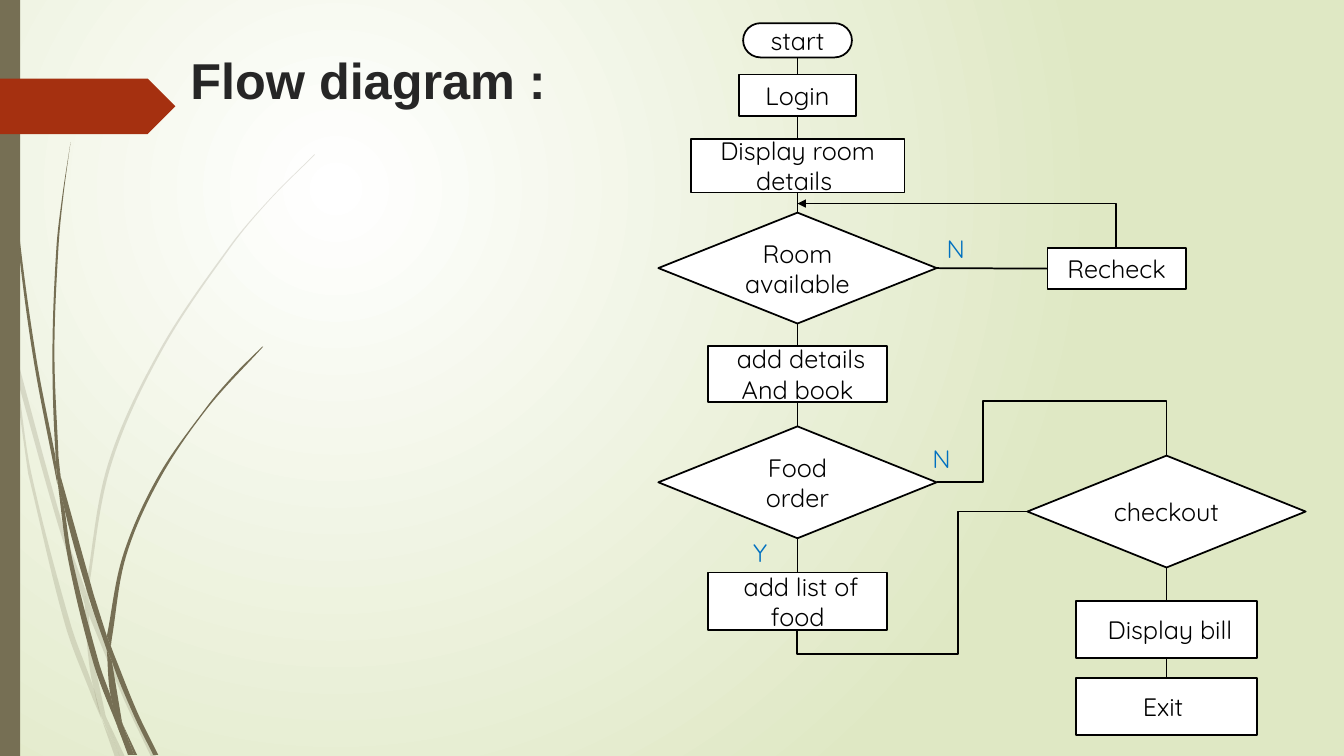
"""Builds a hotel booking flow diagram slide."""
from dataclasses import dataclass
from math import hypot
from typing import Optional

from lxml.etree import SubElement
from pptx import Presentation
from pptx.dml.color import RGBColor
from pptx.enum.shapes import MSO_CONNECTOR, MSO_SHAPE
from pptx.enum.text import MSO_ANCHOR, PP_ALIGN
from pptx.oxml.ns import qn
from pptx.util import Inches, Pt

COLORS = {"ink": "000000", "white": "FFFFFF", "edge": "DFE8C4", "stem": "766F54",
          "ribbon": "A53010", "title": "262626", "branch": "0070C0"}
BODY_FONT = "Quicksand"
TOP, LEFT, BOTTOM, RIGHT = range(4)
BOX, DECISION = MSO_SHAPE.RECTANGLE, MSO_SHAPE.FLOWCHART_DECISION

@dataclass(frozen=True)
class Blade:
    near: tuple
    far: tuple

@dataclass(frozen=True)
class Node:
    text: str
    kind: MSO_SHAPE
    frame: tuple

@dataclass(frozen=True)
class Link:
    start: str
    end: str
    start_site: int = BOTTOM
    end_site: int = TOP

@dataclass(frozen=True)
class Elbow:
    preset: str
    frame: tuple
    rotation: int
    flips: tuple
    adjustments: tuple = ()
    arrow: bool = False

@dataclass(frozen=True)
class Label:
    text: str
    frame: tuple
    size: int = 18
    font: str = BODY_FONT
    color: str = "branch"
    bold: bool = False
    insets: tuple = (0.1, 0.1)

PALE_BLADES = (
    Blade(((0.11, 3.5), (0.09, 3.22), (0, 2.82)), ((0, 2.99), (0.1, 3.44))),
    Blade(((0.14, 3.45), (0.62, 5.2), (0.85, 5.86)), ((0.84, 5.99), (0.58, 5.22), (0.17, 3.76))),
    Blade(((0.88, 5.96), (1.27, 6.92), (1.55, 7.51)), ((1.5, 7.51), (1.23, 6.94), (0.88, 6.1))),
    Blade(((1.05, 7.11), (1.24, 7.51)), ((1.19, 7.51),)),
    Blade(((0.11, 3.5), (0.17, 3.76), (0.31, 4.69), (0.7, 6.19), (0.93, 6.83), (1.01, 7.14)),
          ((0.92, 6.93), (0.65, 6.21), (0.28, 4.7))),
    Blade(((0.84, 5.99), (0.87, 6.46), (0.93, 6.83), (1.05, 7.11)), ((0.91, 6.46), (0.88, 6.1))),
    Blade(((3.12, 1.53), (2.68, 1.97), (2.28, 2.44), (1.58, 3.48), (1.07, 4.61), (0.85, 5.84)),
          ((0.88, 5.96), (0.88, 5.84), (1.1, 4.62), (1.6, 3.49), (2.29, 2.45), (2.68, 1.98),
           (3.12, 1.54))),
    Blade(((1.01, 7.14), (1.14, 7.51)), ((1.19, 7.51),)),
    Blade(((0.85, 5.86), (0.84, 5.99)), ((0.88, 6.1), (0.88, 5.96))),
    Blade(((0.93, 6.83), (0.99, 7.07), (1.19, 7.51)), ((1.05, 7.11), (0.96, 6.92))),
)
DARK_BLADES = (
    Blade(((0.03, 0), (0.07, 1.1), (0.17, 2.33), (0.33, 3.55), (0.57, 4.81)),
          ((0.55, 4.53), (0.36, 3.55), (0.19, 2.32), (0.08, 1.09), (0.04, 0))),
    Blade(((0.6, 4.72), (0.64, 5.05), (0.88, 5.92), (1.06, 6.45)), ((1.06, 6.31), (0.93, 5.9))),
    Blade(((1.1, 6.41), (1.11, 6.56), (1.32, 7.08), (1.52, 7.49)),
          ((1.57, 7.49), (1.36, 7.06), (1.13, 6.49))),
    Blade(((0.57, 4.77), (0.68, 5.57), (0.93, 6.59), (1.17, 7.22)),
          ((1.1, 6.91), (0.98, 6.57), (0.72, 5.56), (0.64, 5.05))),
    Blade(((0.7, 1.41), (0.62, 1.93), (0.56, 2.45), (0.52, 3.49), (0.55, 4.49), (0.6, 4.72)),
          ((0.58, 4.53), (0.54, 3.49), (0.58, 2.45), (0.63, 1.93), (0.7, 1.41))),
    Blade(((1.22, 7.19), (1.33, 7.49)), ((1.36, 7.49),)),
    Blade(((0.55, 4.49), (0.57, 4.77), (0.64, 5.05)), ((0.6, 4.72),)),
    Blade(((2.6, 3.44), (2.31, 3.73), (2.04, 4.05), (1.56, 4.74), (1.22, 5.51), (1.06, 6.31)),
          ((1.1, 6.41), (1.11, 6.33), (1.25, 5.52), (1.58, 4.76), (2.05, 4.06), (2.61, 3.44))),
    Blade(((1.17, 7.22), (1.27, 7.49)), ((1.31, 7.49),)),
    Blade(((1.06, 6.45), (1.1, 6.91), (1.22, 7.19)), ((1.21, 7.16), (1.11, 6.56))),
    Blade(((1.06, 6.31), (1.06, 6.45)), ((1.11, 6.56), (1.1, 6.41))),
    Blade(((1.1, 6.91), (1.17, 7.22), (1.3, 7.49)), ((1.33, 7.49), (1.22, 7.19))),
)
NODES = {
    "start": Node("start", MSO_SHAPE.FLOWCHART_TERMINATOR, (7.37, 0.23, 1.08, 0.34)),
    "login": Node("Login", BOX, (7.33, 0.74, 1.16, 0.41)),
    "rooms": Node("Display room details ", BOX, (6.85, 1.38, 2.12, 0.53)),
    "available": Node("Room\navailable", DECISION, (6.53, 2.11, 2.76, 1.1)),
    "book": Node(" add details\nAnd book", BOX, (7.02, 3.43, 1.78, 0.56)),
    "recheck": Node("Recheck", BOX, (10.39, 2.46, 1.37, 0.41)),
    "order": Node("Food order", DECISION, (6.53, 4.23, 2.76, 1.11)),
    "food": Node(" add list of food", BOX, (7.02, 5.68, 1.78, 0.57)),
    "checkout": Node("checkout", DECISION, (10.19, 4.52, 2.76, 1.11)),
    "exit": Node("Exit ", BOX, (10.67, 6.73, 1.8, 0.56)),
    "bill": Node(" Display bill", BOX, (10.67, 5.96, 1.8, 0.57)),
}
LINKS = (
    Link("start", "login"), Link("login", "rooms"), Link("rooms", "available"),
    Link("available", "book"), Link("book", "order"), Link("order", "food"),
    Link("available", "recheck", RIGHT, LEFT), Link("checkout", "bill"), Link("bill", "exit"),
)
ELBOWS = (
    Elbow("bentConnector2", (9.27, 0.66, 0.44, 3.16), 270, ("flipV",), arrow=True),
    Elbow("bentConnector4", (8.46, 4.52, 1.17, 2.28), 90, ("flipH", "flipV"), (-0.21, 0.7)),
    Elbow("bentConnector4", (9.29, 4.52, 2.28, 0.26), 0, ("flipV",), (0.2, 3.09)),
)
LABELS = (
    Label("Flow diagram :", (1.79, 0.44, 9.75, 1.4), 36, "Arial", "title", True),
    Label("Y", (7.43, 5.28, 0.14, 0.4), insets=(0.04, 0)),
    Label("N", (9.15, 4.35, 0.56, 0.4)),
    Label("N", (9.29, 2.27, 0.56, 0.4)),
)

def rgb(name: str) -> RGBColor:
    return RGBColor.from_string(COLORS[name])

def inches(values: tuple) -> list:
    return [Inches(value) for value in values]

def paint(shape, fill: str) -> None:
    shape.shadow.inherit = False
    shape.fill.solid()
    shape.fill.fore_color.rgb = rgb(fill)
    shape.line.fill.background()

def set_background(slide) -> None:
    fill = slide.background.fill
    fill.gradient()
    for stop, name in zip(fill.gradient_stops, ("white", "edge")):
        stop.color.rgb = rgb(name)
    gradient = next(slide.element.iter(qn("a:gradFill")))
    gradient.remove(gradient.find(qn("a:lin")))
    circle = SubElement(gradient, qn("a:path"), path="circle")
    SubElement(circle, qn("a:fillToRect"), l="50000", t="50000", r="100000", b="100000")

def curve_through(points: tuple) -> list:
    padded = (points[0], *points, points[-1])
    curve = []
    for before, (x1, y1), (x2, y2), after in zip(padded, padded[1:], padded[2:], padded[3:]):
        reach = hypot(x2 - x1, y2 - y1) / 3
        in_x, in_y = x2 - before[0], y2 - before[1]
        out_x, out_y = after[0] - x1, after[1] - y1
        first, second = reach / hypot(in_x, in_y), reach / hypot(out_x, out_y)
        curve += [(x1 + in_x * first, y1 + in_y * first),
                  (x2 - out_x * second, y2 - out_y * second), (x2, y2)]
    return curve

def draw_blade(slide, blade: Blade, opacity: Optional[int] = None) -> None:
    outline = curve_through(blade.near) + curve_through((blade.near[-1], blade.far[0]))
    outline += curve_through(blade.far)
    builder = slide.shapes.build_freeform(*inches(blade.near[0]))
    builder.add_line_segments([inches(point) for point in outline], close=True)
    shape = builder.convert_to_shape()
    paint(shape, "stem")
    segments = list(shape.element.iter(qn("a:lnTo")))
    for first, second, third in zip(segments[::3], segments[1::3], segments[2::3]):
        first.tag = qn("a:cubicBezTo")
        for control in (second, third):
            first.append(control[0])
            control.getparent().remove(control)
    if opacity is not None:
        color = next(shape.element.spPr.iter(qn("a:srgbClr")))
        SubElement(color, qn("a:alpha"), val=str(opacity * 1000))

def write_text(frame, text: str, size: int, font: str, color: str, alignment: PP_ALIGN,
               bold: bool = False) -> None:
    frame.word_wrap = True
    frame.text = text
    for paragraph in frame.paragraphs:
        paragraph.alignment = alignment
        paragraph.font.size, paragraph.font.name, paragraph.font.bold = Pt(size), font, bold
        paragraph.font.color.rgb = rgb(color)

def draw_node(slide, node: Node):
    shape = slide.shapes.add_shape(node.kind, *inches(node.frame))
    paint(shape, "white")
    shape.line.color.rgb, shape.line.width = rgb("ink"), Pt(1.25)
    write_text(shape.text_frame, node.text, 18, BODY_FONT, "ink", PP_ALIGN.CENTER)
    shape.text_frame.vertical_anchor = MSO_ANCHOR.MIDDLE
    return shape

def draw_label(slide, label: Label) -> None:
    frame = slide.shapes.add_textbox(*inches(label.frame)).text_frame
    frame.margin_left, frame.margin_right = inches(label.insets)
    write_text(frame, label.text, label.size, label.font, label.color, PP_ALIGN.LEFT, label.bold)

def add_line(slide, kind: MSO_CONNECTOR, left: float, top: float, width: float, height: float):
    connector = slide.shapes.add_connector(kind, *inches((left, top, left + width, top + height)))
    connector.line.color.rgb, connector.line.width = rgb("ink"), Pt(1.25)
    SubElement(connector.element.spPr, qn("a:effectLst"))
    return connector

def draw_link(slide, link: Link, shapes: dict) -> None:
    connector = add_line(slide, MSO_CONNECTOR.STRAIGHT, 0, 0, 0, 0)
    connector.begin_connect(shapes[link.start], link.start_site)
    connector.end_connect(shapes[link.end], link.end_site)

def draw_elbow(slide, elbow: Elbow) -> None:
    properties = add_line(slide, MSO_CONNECTOR.ELBOW, *elbow.frame).element.spPr
    transform, geometry = properties.find(qn("a:xfrm")), properties.find(qn("a:prstGeom"))
    transform.set("rot", str(elbow.rotation * 60000))
    for flip in elbow.flips:
        transform.set(flip, "1")
    geometry.set("prst", elbow.preset)
    guides = geometry.find(qn("a:avLst"))
    for number, value in enumerate(elbow.adjustments, 1):
        SubElement(guides, qn("a:gd"), name=f"adj{number}", fmla=f"val {round(value * 100000)}")
    if elbow.arrow:
        SubElement(properties.find(qn("a:ln")), qn("a:tailEnd"), type="triangle")

def main() -> None:
    presentation = Presentation()
    presentation.slide_width, presentation.slide_height = inches((13.33, 7.5))
    slide = presentation.slides.add_slide(presentation.slide_layouts[6])
    set_background(slide)
    for blades, opacity in ((PALE_BLADES, 20), (DARK_BLADES, None)):
        for blade in blades:
            draw_blade(slide, blade, opacity)
    paint(slide.shapes.add_shape(BOX, *inches((0, 0, 0.2, 7.5))), "stem")
    ribbon = slide.shapes.add_shape(MSO_SHAPE.PENTAGON, *inches((0, 0.78, 1.74, 0.55)))
    paint(ribbon, "ribbon")
    shapes = {name: draw_node(slide, node) for name, node in NODES.items()}
    for link in LINKS:
        draw_link(slide, link, shapes)
    for elbow in ELBOWS:
        draw_elbow(slide, elbow)
    for label in LABELS:
        draw_label(slide, label)
    presentation.save("out.pptx")

if __name__ == "__main__":
    main()
